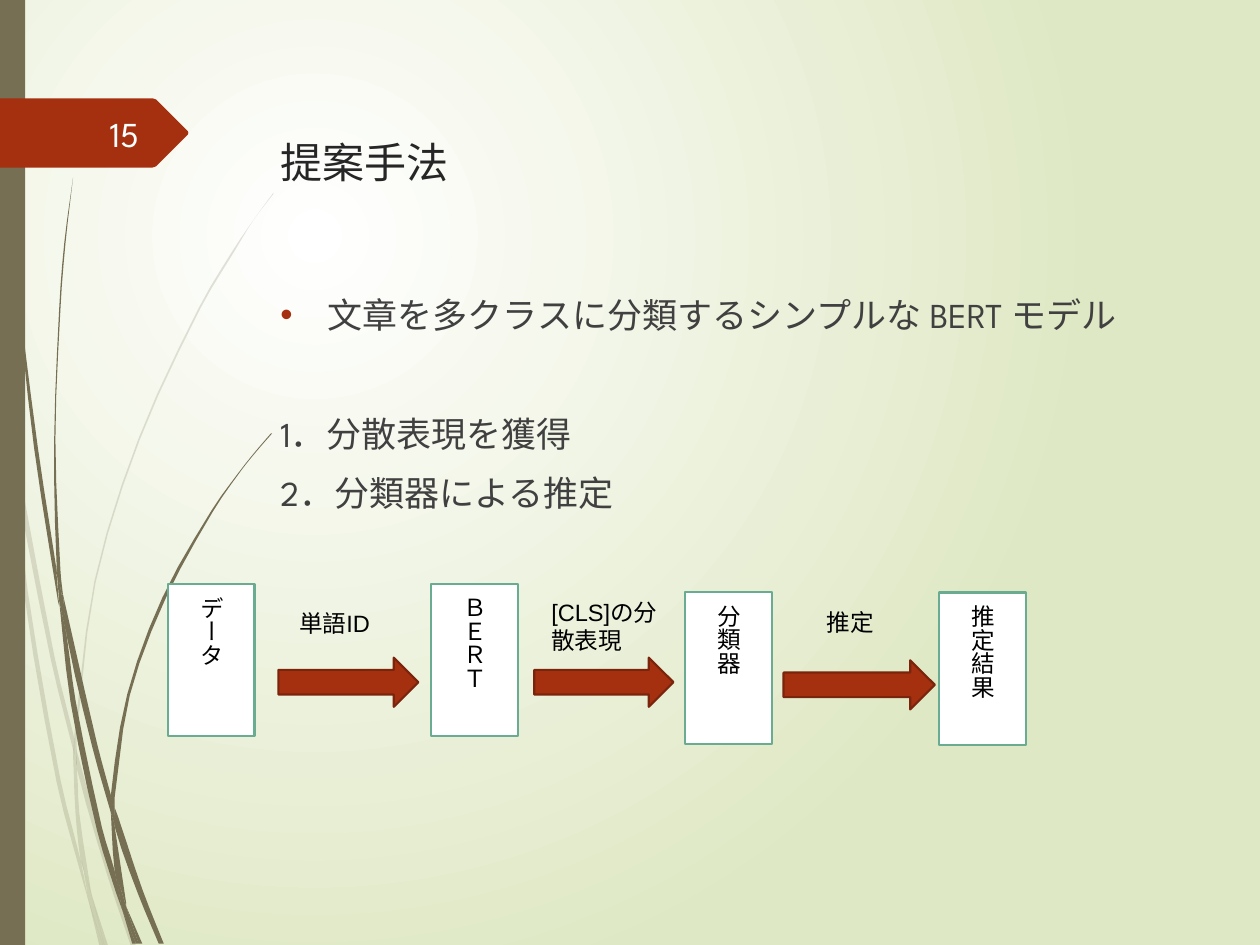
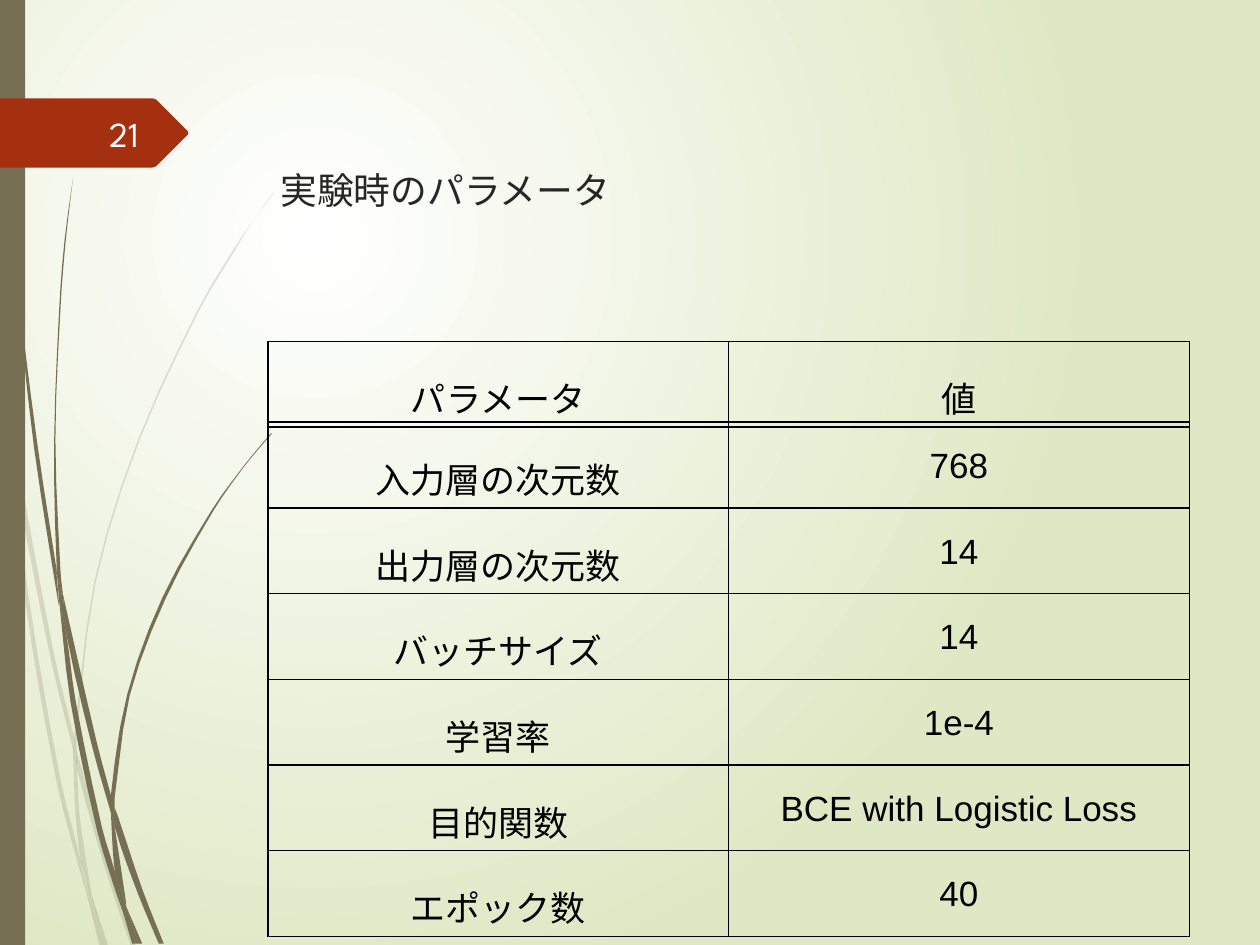
from dataclasses import dataclass
from math import dist

from lxml.etree import SubElement
from pptx import Presentation
from pptx.dml.color import RGBColor
from pptx.enum.shapes import MSO_SHAPE as Preset
from pptx.enum.text import MSO_ANCHOR as Anchor, MSO_AUTO_SIZE as AutoSize, PP_ALIGN as Align
from pptx.oxml.ns import qn
from pptx.util import Pt


@dataclass(frozen=True)
class Theme:
    heading_font: str = "League Spartan"
    plain_font: str = "Arial"
    olive: str = "766F54"
    red: str = "A53010"
    dark_red: str = "7A240C"
    green: str = "6AAC91"
    pale_green: str = "DFE8C4"
    white: str = "FFFFFF"
    number: str = "FEFFFF"
    black: str = "000000"
    title: str = "262626"
    body: str = "404040"
    body_size: float = 20
    flow_size: float = 13.5
    line_width: float = 1.25
    border_width: float = 1


THEME = Theme()

# Grass outlines, in hundredths of an inch: each blade is one edge and the way back
GRID = 0.72
FAINT_BLADES = [
    ([(8, 350), (6, 322), (0, 282)], [(0, 299), (7, 344), (8, 350)]),
    ([(10, 345), (12, 376), (40, 522), (59, 599)], [(59, 586), (43, 520), (10, 345)]),
    ([(61, 596), (61, 610), (85, 694), (104, 751)], [(108, 751), (88, 692), (64, 607), (61, 596)]),
    ([(83, 751), (86, 751)], [(73, 711)]),
    ([(70, 714), (64, 683), (48, 619), (22, 469), (12, 376), (8, 350)],
     [(8, 350), (19, 470), (45, 621), (64, 693), (70, 714)]),
    ([(58, 599), (60, 646), (64, 683), (67, 692), (73, 711)],
     [(72, 706), (63, 646), (61, 610), (58, 599)]),
    ([(61, 596), (61, 584), (76, 462), (111, 349), (159, 245), (187, 198), (201, 175), (217, 154)],
     [(217, 153), (201, 175), (186, 197), (158, 244), (110, 348), (75, 461), (59, 584), (59, 586)]),
    ([(70, 714), (79, 751)], [(82, 751)]),
    ([(61, 608), (61, 596)], [(59, 586), (58, 599)]),
    ([(65, 683), (69, 707), (70, 714), (82, 751)], [(83, 751), (73, 711), (67, 692), (65, 683)]),
]
SOLID_BLADES = [
    ([(2, 0), (3, 48), (5, 110), (14, 233), (27, 355), (46, 477), (47, 481)],
     [(45, 457), (45, 453), (30, 355), (15, 232), (6, 109), (4, 48), (3, 0)]),
    ([(50, 472), (53, 505), (73, 592), (88, 645)], [(88, 631), (77, 590), (50, 472)]),
    ([(91, 641), (91, 656), (109, 708), (126, 749)], [(130, 749), (113, 706), (94, 649), (91, 641)]),
    ([(97, 722), (91, 691), (81, 657), (60, 556), (53, 505), (47, 477)],
     [(47, 477), (56, 557), (77, 659), (92, 708), (97, 722)]),
    ([(50, 472), (48, 453), (44, 349), (48, 245), (52, 193), (58, 141)],
     [(58, 141), (51, 193), (47, 245), (43, 349), (45, 449), (49, 472)]),
    ([(110, 749), (113, 749)], [(100, 719)]),
    ([(47, 477), (53, 505)], [(50, 472), (49, 472), (45, 449), (45, 453)]),
    ([(91, 633), (103, 552), (131, 476), (169, 406), (191, 374), (203, 359), (216, 344)],
     [(215, 344), (203, 358), (191, 373), (168, 405), (129, 474), (101, 551), (88, 631), (91, 641)]),
    ([(97, 722), (105, 749)], [(108, 749)]),
    ([(88, 645), (91, 691), (96, 706), (100, 719)], [(100, 716), (91, 656), (90, 651), (88, 645)]),
    ([(88, 645), (90, 651), (91, 656)], [(91, 641), (88, 631)]),
    ([(91, 691), (96, 717), (97, 722), (108, 749)], [(110, 749), (100, 719), (96, 706), (91, 691)]),
]
NUMBER_TAG = [(0, 78), (121, 78), (124, 79), (149, 104), (149.5, 105.5), (149, 107),
              (124, 132), (121, 133), (0, 133)]


def rgb(color):
    return RGBColor.from_string(color)


def points(*lengths):
    return [Pt(length) for length in lengths]


def style_text(paragraph, size, color, font=THEME.heading_font):
    paragraph.font.size = Pt(size)
    paragraph.font.name = font
    paragraph.font.color.rgb = rgb(color)


def style_shape(shape, fill, line=None):
    shape.shadow.inherit = False
    shape.fill.solid()
    shape.fill.fore_color.rgb = rgb(fill)
    if line:
        shape.line.color.rgb = rgb(line)
        shape.line.width = Pt(THEME.line_width)
    else:
        shape.line.fill.background()


# Backdrop
def set_background(master):
    fill = master.background.fill
    fill.gradient()
    for stop, color, position in zip(fill.gradient_stops, (THEME.white, THEME.pale_green), (0, 1)):
        stop.color.rgb = rgb(color)
        stop.position = position
    gradient = master.element.find(".//" + qn("a:gradFill"))
    gradient.remove(gradient.find(qn("a:lin")))
    circle = SubElement(gradient, qn("a:path"), path="circle")
    SubElement(circle, qn("a:fillToRect"), l="50000", t="50000", r="100000", b="100000")


def smooth_edge(anchors, steps=3):
    """Return points along a smooth curve through the anchors."""
    if len(anchors) < 3:
        return anchors
    tangents = []
    for index, here in enumerate(anchors):
        before = anchors[max(index - 1, 0)]
        after = anchors[min(index + 1, len(anchors) - 1)]
        length = dist(before, here) + dist(here, after)
        tangents.append([(b - a) / length for a, b in zip(before, after)])
    curve = [anchors[0]]
    for index, (start, end) in enumerate(zip(anchors, anchors[1:])):
        length = dist(start, end)
        for step in range(1, steps + 1):
            t = step / steps
            curve.append(tuple(
                (2 * t**3 - 3 * t**2 + 1) * a + (3 * t**2 - 2 * t**3) * b
                + length * ((t**3 - 2 * t**2 + t) * leave + (t**3 - t**2) * arrive)
                for a, b, leave, arrive in zip(start, end, tangents[index], tangents[index + 1])))
    return curve


def add_outline(slide, outline, color, opacity=100):
    vertices = [points(x * GRID, y * GRID) for x, y in outline]
    builder = slide.shapes.build_freeform(*vertices[0], scale=1.0)
    builder.add_line_segments(vertices[1:], close=True)
    shape = builder.convert_to_shape()
    style_shape(shape, color)
    if opacity < 100:
        solid = shape.element.spPr.find(qn("a:solidFill"))
        SubElement(solid[0], qn("a:alpha"), val=str(opacity * 1000))


def add_backdrop(slide, number):
    for blades, opacity in ((FAINT_BLADES, 20), (SOLID_BLADES, 100)):
        for edge, way_back in blades:
            add_outline(slide, smooth_edge(edge) + smooth_edge(way_back), THEME.olive, opacity)
    side_bar = slide.shapes.add_shape(Preset.RECTANGLE, *points(0, 0, 14.4, 540))
    style_shape(side_bar, THEME.olive)
    add_outline(slide, NUMBER_TAG, THEME.red)
    frame = add_label(slide, number, (40.3, 61.9, 46.1, 28.8), THEME.body_size, THEME.number)
    frame.vertical_anchor = Anchor.MIDDLE
    frame.paragraphs[0].alignment = Align.RIGHT


# Text
def place(shape, left, top, width, height):
    shape.left, shape.top, shape.width, shape.height = points(left, top, width, height)


def set_title(slide, text, size, gap_above):
    title = slide.shapes.title
    place(title, 153, 49, 519, 100.8)
    frame = title.text_frame
    frame.text = text
    frame.auto_size = AutoSize.NONE
    frame.vertical_anchor = Anchor.TOP
    frame.margin_top = Pt(3.6 + gap_above)
    frame.paragraphs[0].alignment = Align.LEFT
    style_text(frame.paragraphs[0], size, THEME.title)


def set_bullet(paragraph, bullet):
    properties = paragraph._p.get_or_add_pPr()
    indent = Pt(27) if bullet else 0
    properties.set("marL", str(indent))
    properties.set("indent", str(-indent))
    if bullet:
        color = SubElement(properties, qn("a:buClr"))
        SubElement(color, qn("a:srgbClr"), val=THEME.red)
        SubElement(properties, qn("a:buFont"), typeface=THEME.plain_font)
        SubElement(properties, qn("a:buChar"), char=bullet)
    else:
        SubElement(properties, qn("a:buNone"))


def set_body(slide, items):
    body = slide.placeholders[1]
    place(body, 153, 164, 526.3, 310.3)
    frame = body.text_frame
    frame.text = "\n".join(text for text, _, _ in items)
    frame.auto_size = AutoSize.NONE
    for paragraph, (_, bullet, space_before) in zip(frame.paragraphs, items):
        set_bullet(paragraph, bullet)
        paragraph.space_before = Pt(space_before)
        style_text(paragraph, THEME.body_size, THEME.body)


def add_label(slide, text, box, size, color, font=THEME.heading_font):
    frame = slide.shapes.add_textbox(*points(*box)).text_frame
    frame.word_wrap = True
    frame.text = text
    style_text(frame.paragraphs[0], size, color, font)
    return frame


# Flow diagram
def add_stage(slide, text, left, top):
    stage = slide.shapes.add_shape(Preset.RECTANGLE, *points(left, top, 49.7, 87))
    style_shape(stage, THEME.white, THEME.green)
    frame = stage.text_frame
    frame.text = text
    frame.vertical_anchor = Anchor.MIDDLE
    stage.element.find(".//" + qn("a:bodyPr")).set("vert", "eaVert")
    frame.paragraphs[0].alignment = Align.CENTER
    style_text(frame.paragraphs[0], THEME.flow_size, THEME.black)


def add_flow_arrow(slide, left, top, width):
    arrow = slide.shapes.add_shape(Preset.RIGHT_ARROW, *points(left, top, width, 28.1))
    style_shape(arrow, THEME.red, THEME.dark_red)


# Tables
def add_border(cell):
    properties = cell._tc.get_or_add_tcPr()
    for side in ("a:lnL", "a:lnR", "a:lnT", "a:lnB"):
        line = SubElement(properties, qn(side), w=str(Pt(THEME.border_width)))
        SubElement(SubElement(line, qn("a:solidFill")), qn("a:srgbClr"), val=THEME.black)


def add_grid(slide, rows, top, font):
    row_height = 49
    frame = slide.shapes.add_table(len(rows), 2, *points(153, top, 526.6, row_height * len(rows)))
    table = frame.table
    table.first_row = table.horz_banding = False
    for row, texts in zip(table.rows, rows):
        for cell, text in zip(row.cells, texts):
            add_border(cell)
            cell.fill.background()
            cell.margin_left = cell.margin_right = Pt(5)
            cell.margin_top = cell.margin_bottom = Pt(2.9)
            cell.text = text
            paragraph = cell.text_frame.paragraphs[0]
            paragraph.alignment = Align.CENTER
            paragraph.line_spacing = 1.5
            style_text(paragraph, THEME.body_size, THEME.black, font)


# Slides
def build_method_slide(presentation):
    slide = presentation.slides.add_slide(presentation.slide_layouts[1])
    add_backdrop(slide, "15")
    set_title(slide, "提案手法", 24, gap_above=25.4)
    set_body(slide, [
        ("文章を多クラスに分類するシンプルな BERT モデル", "•", 10),
        ("1．分散表現を獲得", None, 44),
        ("2．分類器による推定", None, 10),
    ])
    for text, left, top in (("データ", 95.8, 333.7), ("ＢＥＲＴ", 246.2, 333.7),
                            ("分類器", 391.4, 338.4), ("推定結果", 536.4, 338.6)):
        add_stage(slide, text, left, top)
    for left, top, width in ((159.1, 375.8, 80), (305.3, 375.8, 79.5), (447.8, 377.3, 86.4)):
        add_flow_arrow(slide, left, top, width)
    for text, box, font in (
            ("単語ID", (164, 344.5, 59, 23.8), THEME.plain_font),
            ("[CLS]の分散表現", (308, 338.2, 77, 40.3), THEME.plain_font),
            ("推定", (465.4, 343.8, 52, 23.8), THEME.heading_font)):
        add_label(slide, text, box, THEME.flow_size, THEME.black, font)


def build_parameter_slide(presentation):
    slide = presentation.slides.add_slide(presentation.slide_layouts[5])
    add_backdrop(slide, "21")
    set_title(slide, "実験時のパラメータ", 21, gap_above=43)
    add_grid(slide, [
        ("入力層の次元数", "768"),
        ("出力層の次元数", "14"),
        ("バッチサイズ", "14"),
        ("学習率", "1e-4"),
        ("目的関数", "BCE with Logistic Loss"),
        ("エポック数", "40"),
    ], 241.2, THEME.plain_font)
    add_grid(slide, [("パラメータ", "値")], 195.1, THEME.heading_font)


def main():
    presentation = Presentation()
    presentation.slide_width, presentation.slide_height = points(720, 540)
    set_background(presentation.slide_master)
    build_method_slide(presentation)
    build_parameter_slide(presentation)
    presentation.save("out.pptx")


if __name__ == "__main__":
    main()
